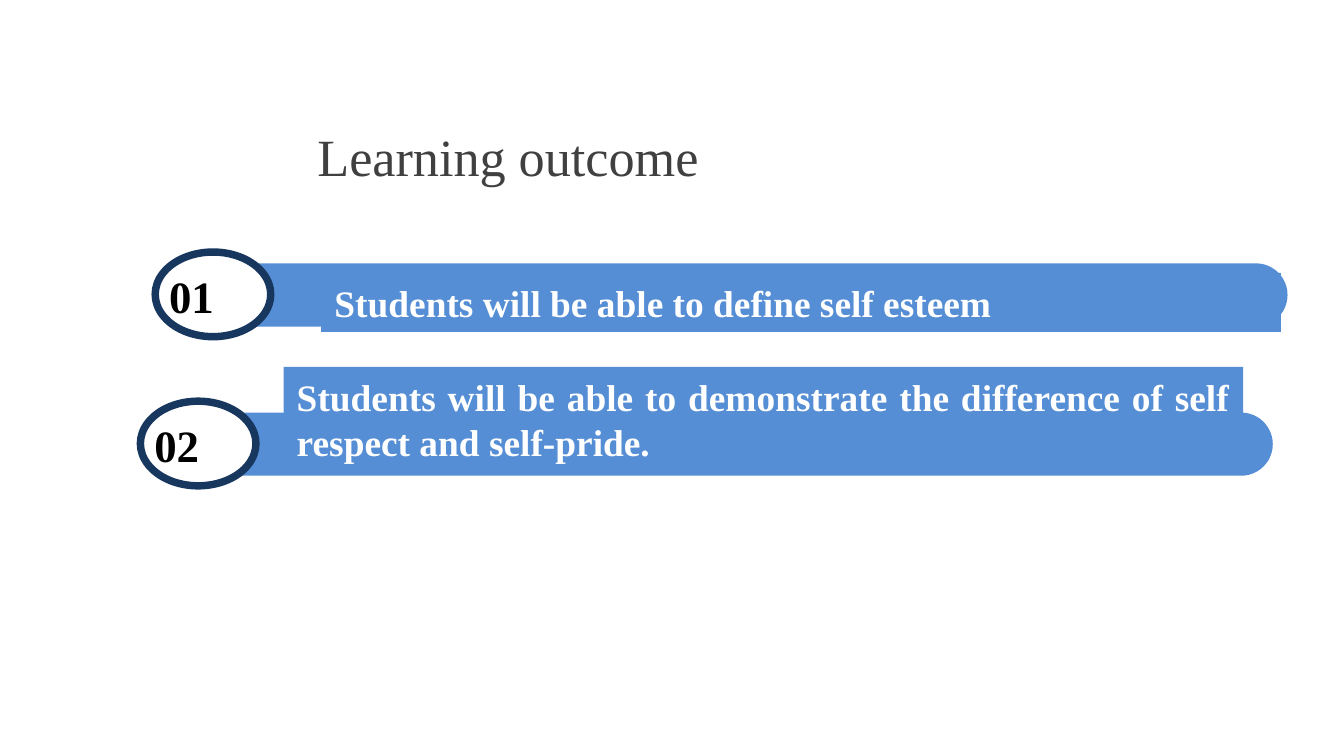
import pptx
import pptx.util
import pptx.dml.color
import pptx.enum.shapes
import pptx.enum.text

Inches = pptx.util.Inches
KIND = pptx.enum.shapes.MSO_SHAPE
ALIGN = pptx.enum.text.PP_ALIGN
ANCHOR = pptx.enum.text.MSO_ANCHOR
GROW = pptx.enum.text.MSO_AUTO_SIZE.SHAPE_TO_FIT_TEXT
BLUE, NAVY, WHITE = "558ED5", "17375E", "FFFFFF"


def color(code):
    return pptx.dml.color.RGBColor.from_string(code)


def shape(parent, kind, box, fill, turn=0):
    item = parent.add_shape(kind, *map(Inches, box))
    item.shadow.inherit = False
    item.fill.solid()
    item.fill.fore_color.rgb = color(fill)
    item.line.fill.background()
    item.rotation = turn
    return item


def write(item, text, size, ink, align, anchor, bold=False):
    frame = item.text_frame
    frame.word_wrap = True
    frame.vertical_anchor = anchor
    para = frame.paragraphs[0]
    para.text = text
    para.alignment = align
    para.font.name = "Times New Roman"
    para.font.size = pptx.util.Pt(size)
    para.font.bold = bold
    para.font.color.rgb = color(ink)


def title(slide, box, text):
    item = slide.shapes.add_textbox(*map(Inches, box))
    write(item, text, 28, "404040", ALIGN.CENTER, ANCHOR.MIDDLE)


def outcome(slide, left, top, number, text, label):
    """Numbered bar; label is the text box relative to the row."""
    parts = slide.shapes.add_group_shape().shapes

    # Bar, turned so that its round end points right
    wide, high = 7.99, 0.47
    mid_x, mid_y = left + 0.43 + wide / 2, top + 0.2 + high / 2
    box = (mid_x - high / 2, mid_y - wide / 2, high, wide)
    bar = shape(parts, KIND.ROUND_2_SAME_RECTANGLE, box, BLUE, 90)
    bar.adjustments[0] = 0.5
    bar.adjustments[1] = 0

    # Number in its ring
    ring = shape(parts, KIND.OVAL, (left + 0.11, top, 0.63, 0.86), WHITE, 270)
    ring.line.color.rgb = color(NAVY)
    ring.line.width = pptx.util.Pt(4)
    box = (left, top + 0.24, 0.86, 0.4)
    count = parts.add_textbox(*map(Inches, box))
    count.text_frame.margin_top = count.text_frame.margin_bottom = 0
    count.text_frame.auto_size = GROW
    write(count, number, 24, "000000", ALIGN.JUSTIFY, ANCHOR.BOTTOM, True)

    # Statement
    x, y, w, h = label
    panel = shape(parts, KIND.RECTANGLE, (left + x, top + y, w, h), BLUE)
    panel.text_frame.auto_size = GROW
    write(panel, text, 20, WHITE, ALIGN.JUSTIFY, ANCHOR.BOTTOM, True)


def main():
    deck = pptx.Presentation()
    deck.slide_width = Inches(10)
    deck.slide_height = deck.slide_width * 9 // 16
    slide = deck.slides.add_slide(deck.slide_layouts[6])

    title(slide, (1.85, 0.84, 3.86, 0.63), "Learning outcome")
    outcome(slide, 1.05, 2.87, "02",
            "Students will be able to demonstrate the difference of self "
            "respect and self-pride.", (1.06, -0.14, 7.14, 0.77))
    outcome(slide, 1.16, 1.76, "01",
            "Students will be able to define self esteem",
            (1.23, 0.27, 7.14, 0.44))
    deck.save("out.pptx")


if __name__ == "__main__":
    main()
